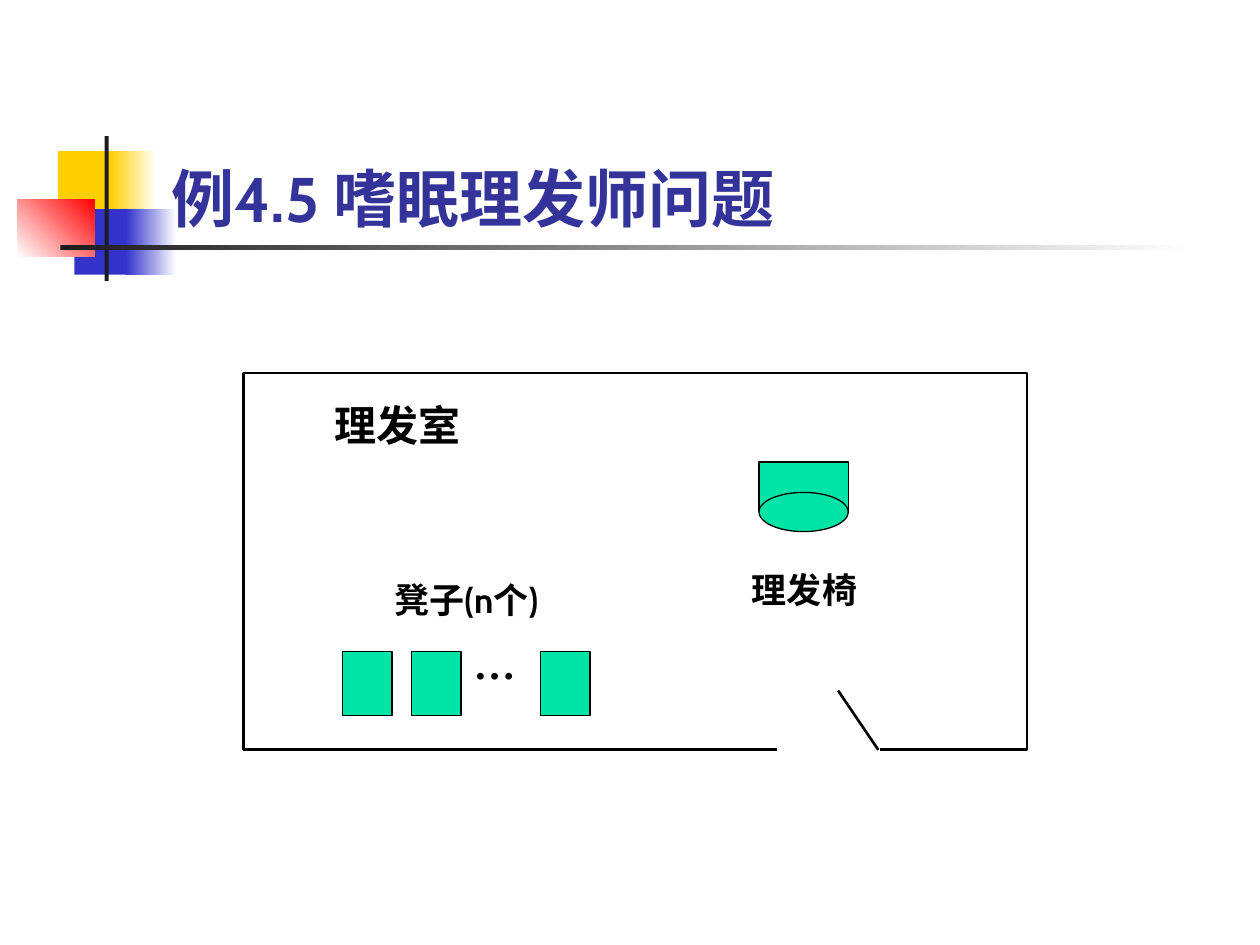
from pptx import Presentation
from pptx.dml.color import RGBColor
from pptx.enum.shapes import MSO_CONNECTOR as LINE, MSO_SHAPE as SHAPE
from pptx.enum.text import MSO_ANCHOR as ANCHOR, MSO_AUTO_SIZE as FIT, PP_ALIGN as ALIGN
from pptx.oxml.ns import qn
from pptx.util import Pt
from lxml.etree import SubElement

TITLE = "例4.5 嗜眠理发师问题"
TITLE_AREA = (90.72, 48.24, 613.44, 90)
BLACK, WHITE, SEAT = "000000", "FFFFFF", "00E4A8"

DECORATION = [
    ((33.12, 86.4, 34.56, 37.44), ["FFCF01"], 0),
    ((63.36, 86.4, 25.92, 37.44), ["FFCF01", WHITE], 0),
    ((42.48, 119.52, 33.12, 37.44), ["3333CC"], 0),
    ((72, 119.52, 28.8, 37.44), ["3333CC", WHITE], 0),
    ((10.08, 113.76, 43.92, 33.12), [WHITE, "FF0000"], 45),
    ((59.76, 77.76, 2.4, 82.8), ["1C1C1C"], 0),
    ((34.56, 140.2, 648, 2.4), ["1C1C1C", WHITE], 0),
]
ROOM = (139, 213.2, 448, 215.3)
STOOL_LEFTS, STOOL_TOP, STOOL_SIZE = (195.7, 235.2, 308.9), 372.2, (28.3, 36.8)
CHAIR_BACK = (433.7, 264, 51, 28.4)
CHAIR_SEAT = (433.7, 281.4, 51, 22.4)
DOORWAY = (445, 406, 56.9, 45.4)
DOOR = (501.9, 428.5, 478.9, 394.6)
LABELS = [
    ("…", (263.5, 360.7, 39.6, 36), 24, "Times New Roman"),
    ("凳子(n个)", (218.2, 326.9, 118.8, 31.7), 20, "Cabin"),
    ("理发椅", (422.6, 321.1, 85, 31.7), 20, "Cabin"),
    ("理发室", (184.3, 224.6, 102.2, 36), 24, "Cabin"),
]


def color(value):
    return RGBColor.from_string(value)


def points(values):
    return [Pt(value) for value in values]


def write(frame, text, size, font="Cabin", ink=BLACK, anchor=ANCHOR.TOP, fit=FIT.SHAPE_TO_FIT_TEXT):
    frame.word_wrap = True
    frame.auto_size = fit
    frame.vertical_anchor = anchor
    para = frame.paragraphs[0]
    para.alignment = ALIGN.LEFT
    span = para.add_run()
    span.text = text
    span.font.name, span.font.size, span.font.bold = font, Pt(size), True
    span.font.color.rgb = color(ink)


def draw(page, area, fills, angle=0, line=None, width=0.75, kind=SHAPE.RECTANGLE):
    shape = page.shapes.add_shape(kind, *points(area))
    shape.shadow.inherit = False
    if len(fills) == 1:
        shape.fill.solid()
        shape.fill.fore_color.rgb = color(fills[0])
    else:
        shape.fill.gradient()
        shape.fill.gradient_angle = angle
        for stop, value, position in zip(shape.fill.gradient_stops, fills, (0, 1)):
            stop.color.rgb = color(value)
            stop.position = position
    if line:
        shape.line.color.rgb = color(line)
        shape.line.width = Pt(width)
    else:
        shape.line.fill.background()


def main():
    """Build the sleeping barber slide."""
    deck = Presentation()
    deck.slide_width, deck.slide_height = Pt(720), Pt(540)
    page = deck.slides.add_slide(deck.slide_layouts[5])

    for area, fills, angle in DECORATION:
        draw(page, area, fills, angle)
    title = page.shapes.title
    title.left, title.top, title.width, title.height = points(TITLE_AREA)
    write(title.text_frame, TITLE, 36, ink="333399", anchor=ANCHOR.BOTTOM, fit=FIT.NONE)

    draw(page, ROOM, [WHITE], line=BLACK, width=1.5)
    for left in STOOL_LEFTS:
        draw(page, (left, STOOL_TOP, *STOOL_SIZE), [SEAT], line=BLACK)
    draw(page, CHAIR_BACK, [SEAT], line=BLACK)
    draw(page, CHAIR_SEAT, [SEAT], line=BLACK, kind=SHAPE.OVAL)
    draw(page, DOORWAY, [WHITE], line=WHITE, width=1.5)

    door = page.shapes.add_connector(LINE.STRAIGHT, *points(DOOR))
    door.line.color.rgb = color(BLACK)
    door.line.width = Pt(1.5)
    SubElement(door._element.spPr, qn("a:effectLst"))

    for text, area, size, font in LABELS:
        box = page.shapes.add_textbox(*points(area))
        write(box.text_frame, text, size, font)

    deck.save("out.pptx")


if __name__ == "__main__":
    main()
